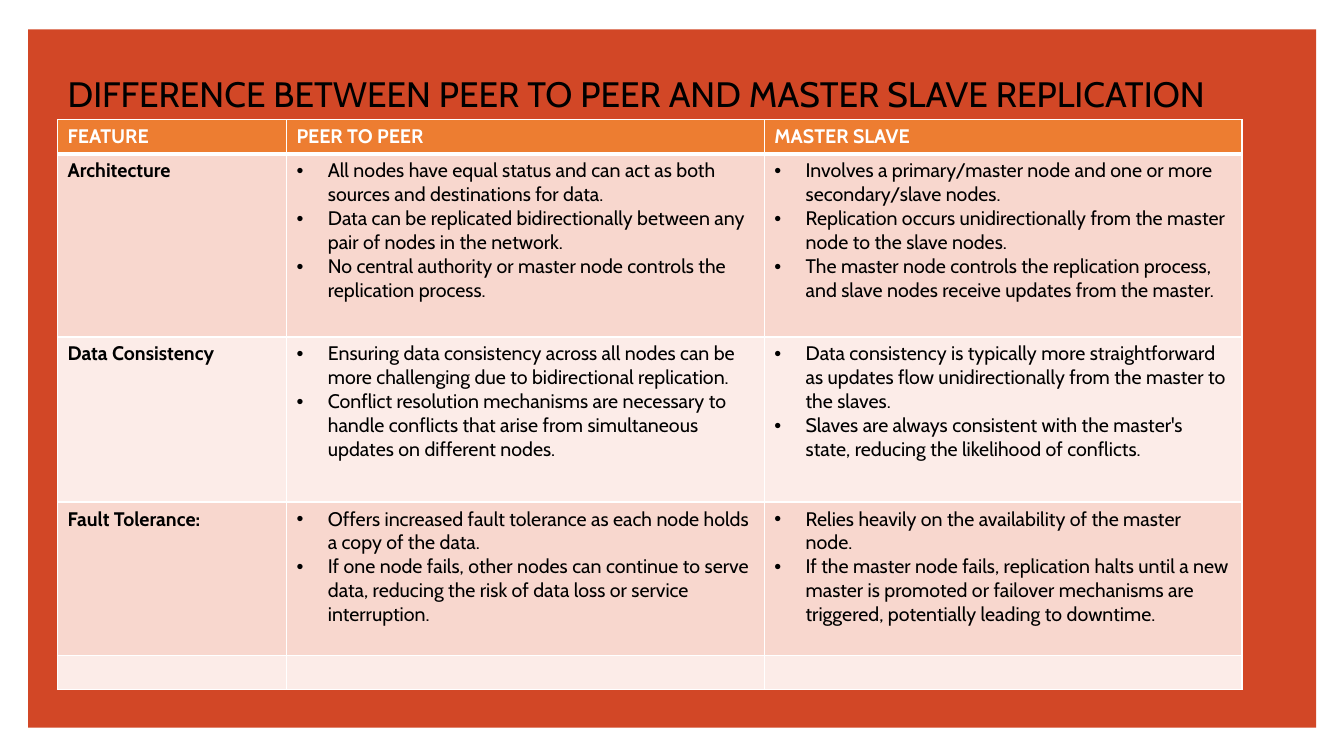
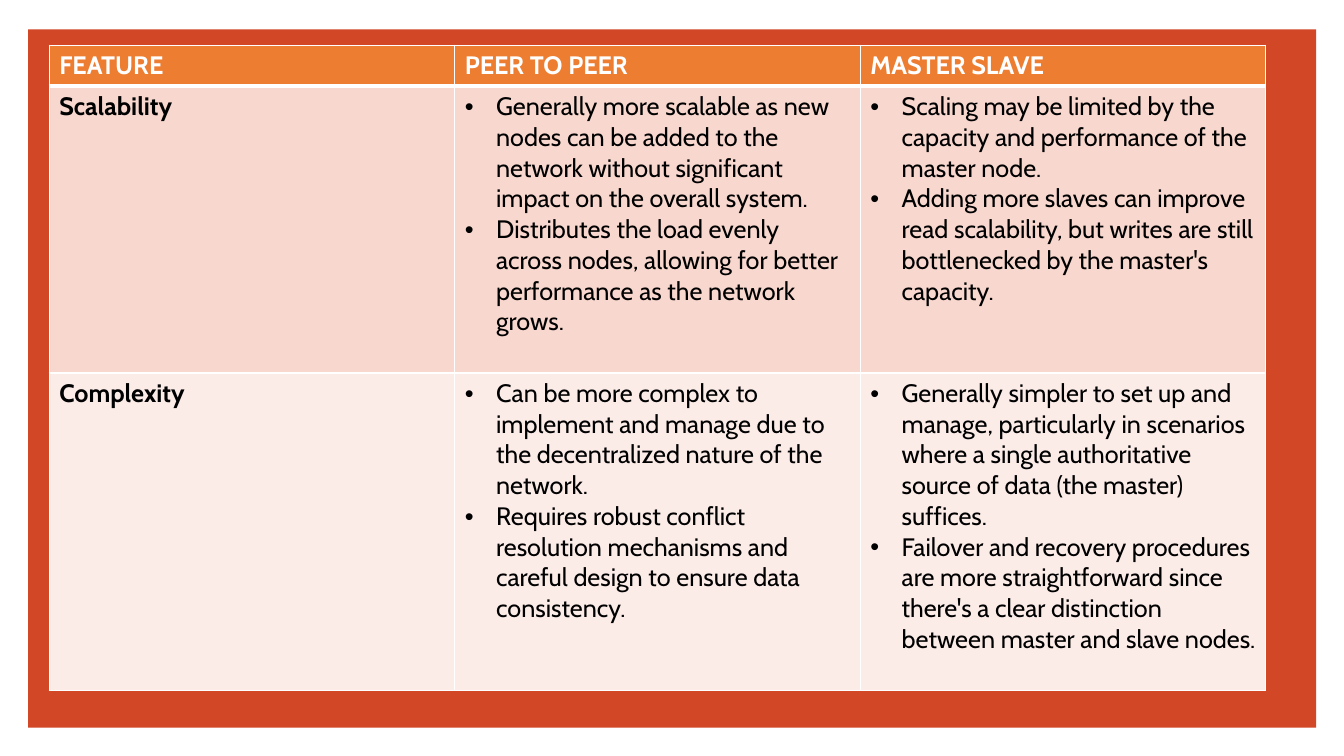
from lxml import etree
from pptx import Presentation, util as u
from pptx.dml.color import RGBColor
from pptx.enum import shapes, text
from pptx.oxml.ns import qn

FONT = "Cabin"
COLOURS = {
    "panel": "D24726",
    "header": "ED7D31",
    "band_dark": "F8D7CE",
    "band_light": "FCECE8",
    "white": "FFFFFF",
    "black": "000000",
}
HEADINGS = ["FEATURE", "PEER TO PEER", "MASTER SLAVE"]
TITLE = "DIFFERENCE BETWEEN PEER TO PEER AND MASTER SLAVE REPLICATION"
TITLE_LAYOUT, BLANK_LAYOUT = 5, 6

# Each row: feature, peer-to-peer points, master-slave points
BASICS = [
    ("Architecture",
     ["All nodes have equal status and can act as both sources and destinations for data.",
      "Data can be replicated bidirectionally between any pair of nodes in the network.",
      "No central authority or master node controls the replication process."],
     ["Involves a primary/master node and one or more secondary/slave nodes.",
      "Replication occurs unidirectionally from the master node to the slave nodes.",
      "The master node controls the replication process, and slave nodes receive "
      "updates from the master."]),
    ("Data Consistency",
     ["Ensuring data consistency across all nodes can be more challenging due to "
      "bidirectional replication.",
      "Conflict resolution mechanisms are necessary to handle conflicts that arise "
      "from simultaneous updates on different nodes."],
     ["Data consistency is typically more straightforward as updates flow "
      "unidirectionally from the master to the slaves.",
      "Slaves are always consistent with the master's state, reducing the likelihood "
      "of conflicts."]),
    ("Fault Tolerance:",
     ["Offers increased fault tolerance as each node holds a copy of the data.",
      "If one node fails, other nodes can continue to serve data, reducing the risk of "
      "data loss or service interruption."],
     ["Relies heavily on the availability of the master node.",
      "If the master node fails, replication halts until a new master is promoted or "
      "failover mechanisms are triggered, potentially leading to downtime."]),
    ("", [], []),
]
GROWTH = [
    ("Scalability",
     ["Generally more scalable as new nodes can be added to the network without "
      "significant impact on the overall system.",
      "Distributes the load evenly across nodes, allowing for better performance as the "
      "network grows."],
     ["Scaling may be limited by the capacity and performance of the master node.",
      "Adding more slaves can improve read scalability, but writes are still "
      "bottlenecked by the master's capacity."]),
    ("Complexity",
     ["Can be more complex to implement and manage due to the decentralized nature of "
      "the network.",
      "Requires robust conflict resolution mechanisms and careful design to ensure data "
      "consistency."],
     ["Generally simpler to set up and manage, particularly in scenarios where a single "
      "authoritative source of data (the master) suffices.",
      "Failover and recovery procedures are more straightforward since there's a clear "
      "distinction between master and slave nodes."]),
]


def colour(name):
    return RGBColor.from_string(COLOURS[name])


def add_span(para, words, size, ink, bold=False):
    span = para.add_run()
    span.text = words
    span.font.name = FONT
    span.font.size = u.Pt(size)
    span.font.bold = bold
    span.font.color.rgb = colour(ink)


def add_panel(deck, page):
    """Draw the coloured panel and hand it to the master, behind everything."""
    panel = page.shapes.add_shape(shapes.MSO_SHAPE.RECTANGLE, u.Cm(0.71), u.Cm(0.74),
                                  u.Cm(32.46), u.Cm(17.6))
    panel.shadow.inherit = False
    panel.fill.solid()
    panel.fill.fore_color.rgb = colour("panel")
    panel.line.fill.background()
    deck.slide_master.shapes._spTree.insert(2, panel._element)


def set_title(page, words, left, top, width, height):
    title = page.shapes.title
    title.left, title.top, title.width, title.height = map(u.Cm, (left, top, width, height))
    frame = title.text_frame
    frame.word_wrap = True
    frame.auto_size = text.MSO_AUTO_SIZE.NONE
    frame.vertical_anchor = text.MSO_ANCHOR.BOTTOM
    para = frame.paragraphs[0]
    para.alignment = text.PP_ALIGN.LEFT
    add_span(para, words, 25.2, "black")


def set_bullet(para):
    props = para._p.get_or_add_pPr()
    props.set("marL", str(u.Cm(0.79)))
    props.set("indent", str(-u.Cm(0.79)))
    etree.SubElement(props, qn("a:buFont"), typeface="Arial")
    etree.SubElement(props, qn("a:buChar"), char="•")


def style_cell(cell, fill, top=1, bottom=1):
    """Give the cell white borders (widths in points) and a plain fill."""
    props = cell._tc.get_or_add_tcPr()
    for side, width in (("L", 1), ("R", 1), ("T", top), ("B", bottom)):
        line = etree.SubElement(props, qn(f"a:ln{side}"), w=str(u.Pt(width)))
        paint = etree.SubElement(line, qn("a:solidFill"))
        etree.SubElement(paint, qn("a:srgbClr"), val=COLOURS["white"])
    cell.fill.solid()
    cell.fill.fore_color.rgb = colour(fill)


def fill_points(cell, points, size):
    frame = cell.text_frame
    for index, point in enumerate(points):
        para = frame.add_paragraph() if index else frame.paragraphs[0]
        set_bullet(para)
        add_span(para, point, size, "black")


def add_comparison(page, left, top, widths, heights, rows, size):
    box = page.shapes.add_table(len(heights), len(widths), u.Cm(left), u.Cm(top),
                                u.Cm(sum(widths)), u.Cm(sum(heights)))
    table = box.table
    table.horz_banding = False
    for column, width in zip(table.columns, widths):
        column.width = u.Cm(width)
    for row, height in zip(table.rows, heights):
        row.height = u.Cm(height)

    # Header row
    for column, heading in enumerate(HEADINGS):
        cell = table.cell(0, column)
        style_cell(cell, "header", bottom=3)
        add_span(cell.text_frame.paragraphs[0], heading, size, "white", bold=True)

    # Banded feature rows
    for number, (feature, *sides) in enumerate(rows, start=1):
        cells = table.rows[number].cells
        for cell in cells:
            style_cell(cell, "band_dark" if number % 2 else "band_light",
                       top=3 if number == 1 else 1)
            if not feature:  # keep a blank row as low as its text size
                etree.SubElement(cell.text_frame.paragraphs[0]._p, qn("a:endParaRPr"),
                                 sz=str(size * 100))
        if feature:
            add_span(cells[0].text_frame.paragraphs[0], feature, size, "black", bold=True)
            for column, points in enumerate(sides, start=1):
                fill_points(cells[column], points, size)


def main():
    deck = Presentation()
    deck.slide_width, deck.slide_height = u.Cm(33.87), u.Cm(19.05)

    # Titled comparison
    page = deck.slides.add_slide(deck.slide_layouts[TITLE_LAYOUT])
    add_panel(deck, page)
    set_title(page, TITLE, 1.45, 1.24, 29.85, 1.78)
    add_comparison(page, 1.45, 3.02, [5.77, 12.04, 12.04],
                   [0.86, 4.61, 4.16, 3.86, 0.86], BASICS, 14)

    # Comparison, continued
    page = deck.slides.add_slide(deck.slide_layouts[BLANK_LAYOUT])
    add_comparison(page, 1.24, 1.14, [10.22] * 3, [1.03, 7.23, 7.99], GROWTH, 18)

    deck.save("out.pptx")


if __name__ == "__main__":
    main()
